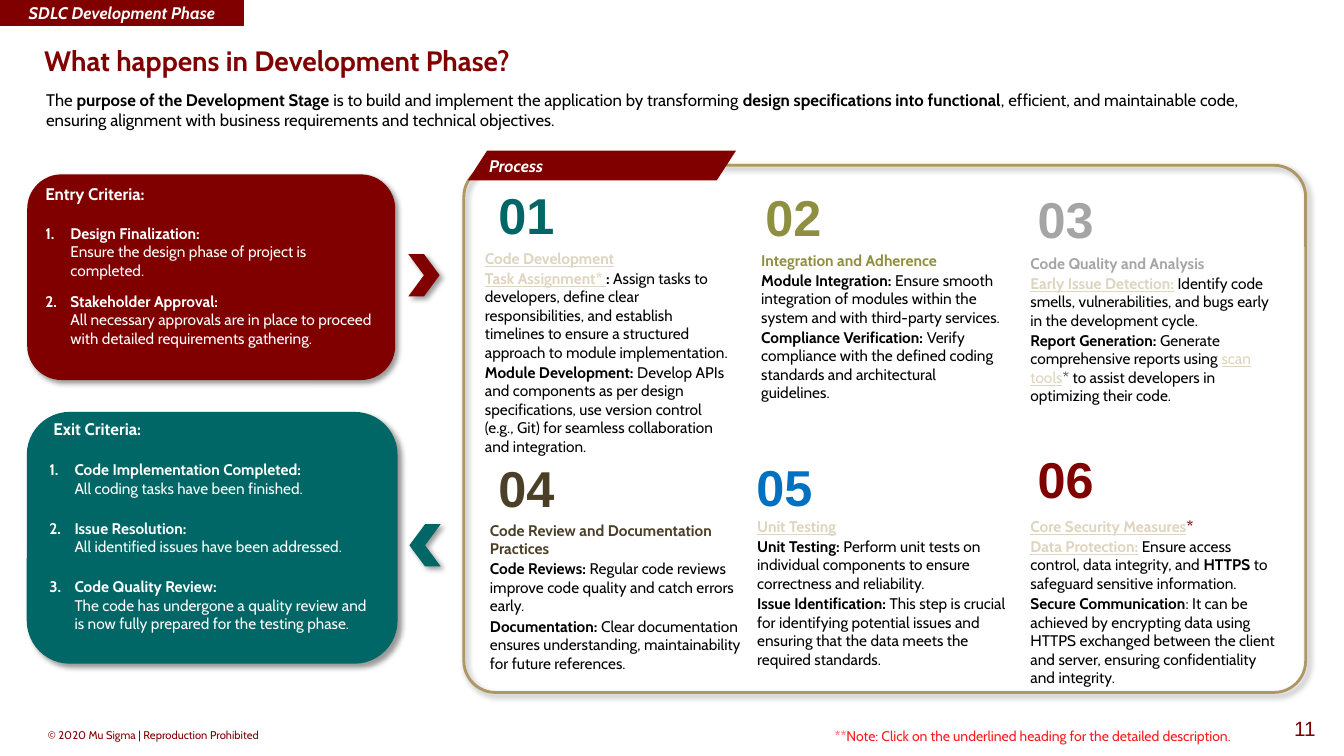
from pptx import Presentation
from pptx.dml.color import RGBColor
from pptx.enum.shapes import MSO_SHAPE
from pptx.enum.text import MSO_ANCHOR, PP_ALIGN
from pptx.oxml.ns import qn
from pptx.util import Inches, Pt
from lxml.etree import SubElement

WIDE, HIGH = Inches(13.33), Inches(7.5)
COL, ROW = WIDE / 100, HIGH / 100
RED, TEAL, GOLD, LINK = "800000", "006666", "AE9763", "DED4BF"
BLACK, WHITE = "000000", "FFFFFF"
INSET = (0.1, 0.05)

ENTRY = [
    ("Design Finalization:", "Ensure the design phase of project is completed."),
    ("Stakeholder Approval:", "All necessary approvals are in place to proceed with detailed requirements gathering."),
]
EXIT = [
    ("Code Implementation Completed:", "All coding tasks have been finished."),
    ("Issue Resolution:", "All identified issues have been addressed."),
    ("Code Quality Review:", "The code has undergone a quality review and is now fully prepared for the testing phase."),
]
STEPS = [
    (TEAL, (37.06, 24.4), (36.08, 32.93, 18.45, 27.6), [
        [("Code Development", "bu")],
        [("Task Assignment* ", "bu"), (": ", "b"),
         ("Assign tasks to developers, define clear responsibilities, and establish timelines "
          "to ensure a structured approach to module implementation.", "")],
        [("Module Development: ", "b"),
         ("Develop APIs and components as per design specifications, use version control "
          "(e.g., Git) for seamless collaboration and integration.", "")]]),
    ("8F8F42", (56.94, 24.67), (56.64, 33.2, 18.08, 24.27), [
        [("Integration and Adherence", "b")],
        [("Module Integration: ", "b"),
         ("Ensure smooth integration of modules within the system and with third-party services.", "")],
        [("Compliance Verification: ", "b"),
         ("Verify compliance with the defined coding standards and architectural guidelines.", "")]]),
    ("A5A5A5", (77.19, 24.93), (76.67, 33.6, 18, 20.27), [
        [("Code Quality and Analysis", "b")],
        [("Early Issue Detection:", "bu"),
         (" Identify code smells, vulnerabilities, and bugs early in the development cycle.", "")],
        [("Report Generation: ", "b"), ("Generate comprehensive reports using ", ""),
         ("scan tools", "u"), ("* to assist developers in optimizing their code.", "")]]),
    ("4B4027", (37.06, 60.4), (36.46, 68.93, 18.98, 22.53), [
        [("Code Review and Documentation Practices", "b")],
        [("Code Reviews: ", "b"),
         ("Regular code reviews improve code quality and catch errors early.", "")],
        [("Documentation: ", "b"),
         ("Clear documentation ensures understanding, maintainability for future references.", "")]]),
    ("0070C0", (56.26, 60.27), (56.34, 68.4, 19.05, 22.53), [
        [("Unit Testing", "bu")],
        [("Unit Testing: ", "b"),
         ("Perform unit tests on individual components to ensure correctness and reliability.", "")],
        [("Issue Identification: ", "b"),
         ("This step is crucial for identifying potential issues and ensuring that the data "
          "meets the required standards.", "")]]),
    (RED, (77.19, 59.33), (76.67, 68.4, 18.38, 22.53), [
        [("Core Security Measures", "bu"), ("*", "b")],
        [("Data Protection:", "bu"), (" Ensure access control, data integrity, and ", ""),
         ("HTTPS", "b"), (" to safeguard sensitive information.", "")],
        [("Secure Communication", "b"),
         (": It can be achieved by encrypting data using HTTPS exchanged between the client "
          "and server, ensuring confidentiality and integrity.", "")]]),
]


def place(left, top, width, height):
    return [round(n) for n in (left * COL, top * ROW, width * COL, height * ROW)]


def tint(part, code):
    part.rgb = RGBColor.from_string(code)


def style(font, marks):
    if "b" in marks:
        font.bold = True
    if "i" in marks:
        font.italic = True
    if "u" in marks:
        font.underline = True
        tint(font.color, LINK)


def setup(frame, pad=INSET, wrap=True, anchor=MSO_ANCHOR.TOP):
    frame.word_wrap = wrap
    frame.vertical_anchor = anchor
    frame.margin_left = frame.margin_right = Inches(pad[0])
    frame.margin_top = frame.margin_bottom = Inches(pad[1])
    return frame


def write(frame, runs, size, color, face="Cabin", align=PP_ALIGN.LEFT, gap=1.1, left=0, number=False):
    first = not frame.paragraphs[0].runs
    para = frame.paragraphs[0] if first else frame.add_paragraph()
    props = para._p.get_or_add_pPr()
    props.set("marL", str(Inches(left)))
    props.set("indent", str(-Inches(left) if number else 0))
    if number:
        SubElement(SubElement(props, qn("a:buClr")), qn("a:srgbClr")).set("val", color)
        SubElement(props, qn("a:buFont")).set("typeface", "+mj-lt")
        SubElement(props, qn("a:buAutoNum")).set("type", "arabicPeriod")
    para.alignment = align
    if not first:
        para.space_before = Pt(gap)
    para.font.name, para.font.size = face, Pt(size)
    tint(para.font.color, color)
    same = len({marks for _, marks in runs}) == 1
    if same:
        style(para.font, runs[0][1])
    for text, marks in runs:
        if text == "\n":
            para.add_line_break()
            continue
        run = para.add_run()
        run.text = text
        if not same:
            style(run.font, marks)


def label(slide, area, runs, size, color, pad=INSET, wrap=True, anchor=MSO_ANCHOR.TOP, **look):
    box = slide.shapes.add_textbox(*place(*area))
    write(setup(box.text_frame, pad, wrap, anchor), runs, size, color, **look)
    return box.text_frame


def paint(shape, fill=None, line=None, width=2, shade=True):
    if fill:
        shape.fill.solid()
        tint(shape.fill.fore_color, fill)
    else:
        shape.fill.background()
    if line:
        tint(shape.line.color, line)
        shape.line.width = Pt(width)
    else:
        shape.line.fill.background()
    shape.shadow.inherit = False
    if shade:
        drop = SubElement(shape._element.spPr.find(qn("a:effectLst")), qn("a:outerShdw"))
        for name, value in (("blurRad", Pt(4)), ("dist", Pt(3)), ("dir", 45 * 60000), ("rotWithShape", 0)):
            drop.set(name, str(value))
        tone = SubElement(drop, qn("a:srgbClr"))
        tone.set("val", BLACK)
        SubElement(tone, qn("a:alpha")).set("val", "40000")
    return shape


def block(slide, kind, area, *look, **more):
    return paint(slide.shapes.add_shape(kind, *place(*area)), *look, **more)


def card(slide, area, fill, line, inner, title, left, items, lead, gap):
    block(slide, MSO_SHAPE.ROUNDED_RECTANGLE, area, fill, line)
    frame = label(slide, inner, [(title, "b")], 12, WHITE, left=left)
    for rank, (head, body) in enumerate(items):
        write(frame, [(head, "b"), ("\n", ""), (body, "")], 11, WHITE,
              gap=gap if rank else lead, left=0.25, number=True)


def step(slide, rank, color, spot, area, paras):
    label(slide, (*spot, 4.2, 8.13), [(f"{rank:02}", "b")], 36, color,
          pad=(0, 0), wrap=False, face="Arial", align=PP_ALIGN.CENTER)
    frame = label(slide, area, paras[0], 11, color, pad=(0, 0))
    for runs in paras[1:]:
        write(frame, runs, 11, BLACK)


def banner(slide, left, top, width, height, slant):
    x, y, w, h = place(left, top, width, height)
    skew = round(slant * COL)
    pen = slide.shapes.build_freeform(x + skew, y)
    pen.add_line_segments([(x + w, y), (x + w - skew, y + h), (x, y + h)], close=True)
    shape = paint(pen.convert_to_shape(), RED, shade=False)
    frame = setup(shape.text_frame, (0.21, 0.05), anchor=MSO_ANCHOR.MIDDLE)
    write(frame, [("Process", "bi")], 12, WHITE)


def main():
    deck = Presentation()
    deck.slide_width, deck.slide_height = WIDE, HIGH
    slide = deck.slides.add_slide(deck.slide_layouts[6])

    label(slide, (96, 94.67, 1.88, 3.33), [("11", "")], 14.8, RED,
          pad=(0, 0), wrap=False, face="Arial", align=PP_ALIGN.RIGHT)
    label(slide, (2.65, 95.7, 17.55, 3.2), [("© 2020 Mu Sigma | Reproduction Prohibited", "")], 8, RED,
          wrap=False, align=PP_ALIGN.CENTER)

    card(slide, (2.03, 23.07, 27.38, 27.2), RED, None, (2.63, 23.6, 26.4, 27.33),
         "Entry Criteria:", 0, ENTRY, 14.4, 9.1)
    card(slide, (2.1, 54.67, 27.38, 32.93), TEAL, TEAL, (2.93, 54.8, 25.13, 35.2),
         "Exit Criteria:", 0.04, EXIT, 15, 15.3)
    block(slide, MSO_SHAPE.CHEVRON, (30.38, 33.6, 2.33, 5.6), RED)
    block(slide, MSO_SHAPE.CHEVRON, (30.46, 69.33, 2.33, 5.6), TEAL).rotation = 180

    panel = block(slide, MSO_SHAPE.ROUNDED_RECTANGLE, (34.51, 21.87, 62.64, 69.73), None, GOLD)
    panel.adjustments[0] = 0.06
    banner(slide, 34.81, 19.93, 19.95, 3.93, 1.43)
    for rank, item in enumerate(STEPS, 1):
        step(slide, rank, *item)

    label(slide, (57.62, 95.55, 38.41, 3.6),
          [("**Note: Click on the underlined heading for the detailed description.", "")],
          10, "FF1A1A", align=PP_ALIGN.CENTER)
    tab = block(slide, MSO_SHAPE.RECTANGLE, (0, 0, 18.15, 3.33), RED, RED, 0.75, shade=False)
    write(setup(tab.text_frame, anchor=MSO_ANCHOR.MIDDLE), [("SDLC Development Phase", "bi")],
          12, WHITE, align=PP_ALIGN.CENTER)
    label(slide, (2.55, 5, 82, 5.87), [("What happens in Development Phase?", "b")], 20, RED,
          anchor=MSO_ANCHOR.MIDDLE)
    label(slide, (2.7, 11.2, 90.62, 6.67), [
        ("The ", ""), ("purpose of the Development Stage", "b"),
        (" is to build and implement the application by transforming ", ""),
        ("design specifications into functional", "b"),
        (", efficient, and maintainable code, ensuring alignment with business requirements "
         "and technical objectives.", "")], 12, BLACK, anchor=MSO_ANCHOR.MIDDLE)
    deck.save("out.pptx")


if __name__ == "__main__":
    main()
